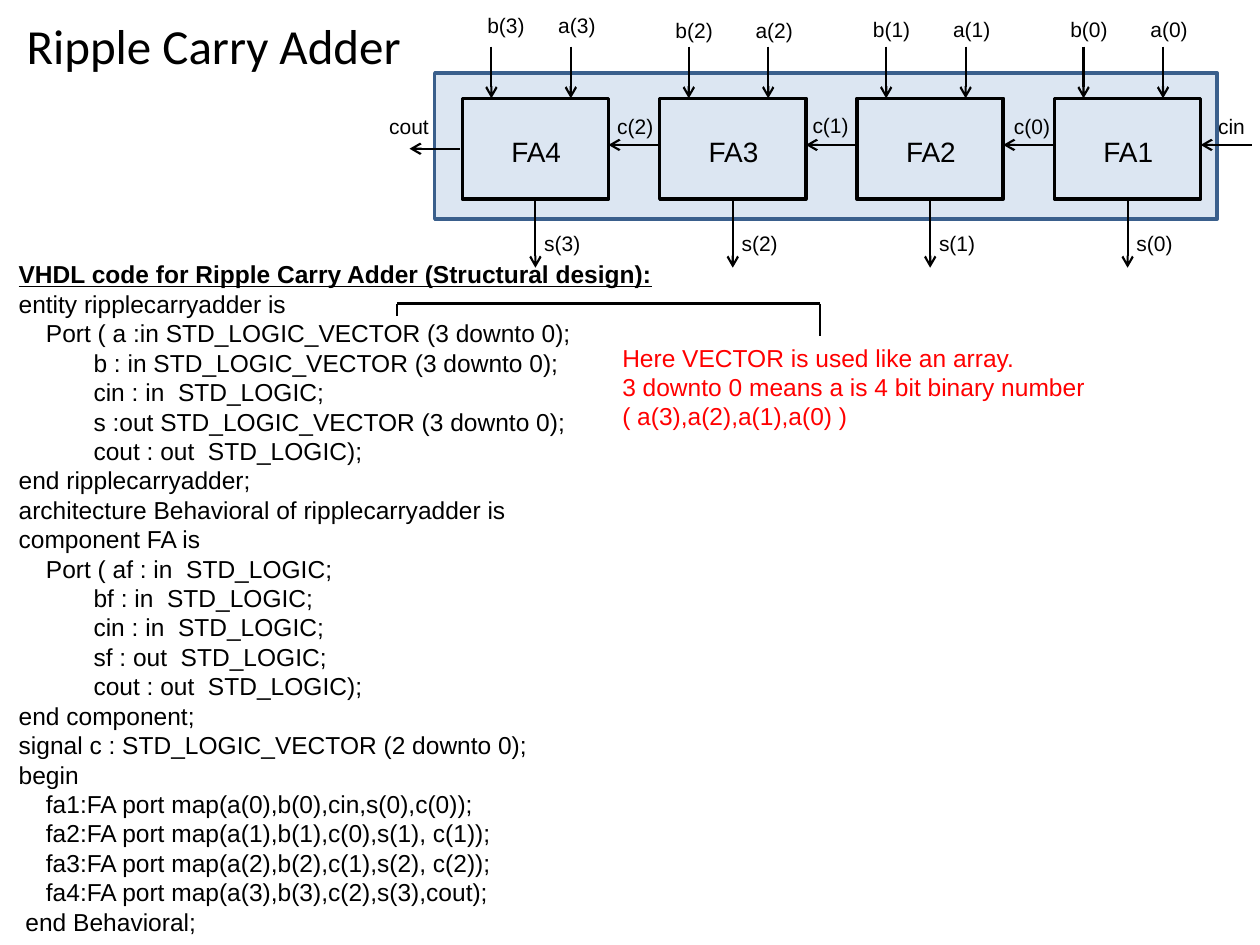
"""Build the ripple carry adder slide with its block diagram and VHDL code."""
from dataclasses import dataclass

from lxml import etree
from pptx import Presentation
from pptx.dml.color import RGBColor
from pptx.enum.shapes import MSO_CONNECTOR, MSO_SHAPE
from pptx.enum.text import MSO_ANCHOR, MSO_AUTO_SIZE, PP_ALIGN
from pptx.oxml.ns import qn
from pptx.util import Pt

RECT = MSO_SHAPE.RECTANGLE
LINE = MSO_CONNECTOR.STRAIGHT
MIDDLE = MSO_ANCHOR.MIDDLE
FIXED = MSO_AUTO_SIZE.NONE
LEFT, CENTER = PP_ALIGN.LEFT, PP_ALIGN.CENTER


@dataclass(frozen=True)
class Theme:
    ink: str = "000000"
    note: str = "FF0000"
    fill: str = "DCE6F2"
    edge: str = "3A5F8C"
    head: str = "Calibri"
    body: str = "Arial"
    title: int = 28
    cell: int = 16
    code: int = 14
    label: int = 12
    thick: float = 2
    thin: float = 1.25


THEME = Theme()
START, PITCH, WIDE = 264.2, 112.8, 83.5
TOP, HIGH = 56.2, 57.6
TAB, DEEP, SLIGHT = 15.6, 42.8, 3.9

CELLS = [
    ("FA4", 3, 3.6, 7.2, "c(2)", 81.4, 61.2),
    ("FA3", 2, 6.5, 1.9, "c(1)", 80.2, 60.5),
    ("FA2", 1, 5.8, 1.9, "c(0)", 82.5, 61.2),
    ("FA1", 0, 5.8, 1.9, "cin", 86.4, 61.2),
]

CODE = [
    (0, "VHDL code for Ripple Carry Adder (Structural design):"),
    (0, "entity ripplecarryadder is"),
    (TAB, "Port ( a :in STD_LOGIC_VECTOR (3 downto 0);"),
    (DEEP, "b : in STD_LOGIC_VECTOR (3 downto 0);"),
    (DEEP, "cin : in  STD_LOGIC;"),
    (DEEP, "s :out STD_LOGIC_VECTOR (3 downto 0);"),
    (DEEP, "cout : out  STD_LOGIC);"),
    (0, "end ripplecarryadder;"),
    (0, "architecture Behavioral of ripplecarryadder is"),
    (0, "component FA is"),
    (TAB, "Port ( af : in  STD_LOGIC;"),
    (DEEP, "bf : in  STD_LOGIC;"),
    (DEEP, "cin : in  STD_LOGIC;"),
    (DEEP, "sf : out  STD_LOGIC;"),
    (DEEP, "cout : out  STD_LOGIC);"),
    (0, "end component;"),
    (0, "signal c : STD_LOGIC_VECTOR (2 downto 0);"),
    (0, "begin"),
    (TAB, "fa1:FA port map(a(0),b(0),cin,s(0),c(0));"),
    (TAB, "fa2:FA port map(a(1),b(1),c(0),s(1), c(1));"),
    (TAB, "fa3:FA port map(a(2),b(2),c(1),s(2), c(2));"),
    (TAB, "fa4:FA port map(a(3),b(3),c(2),s(3),cout);"),
    (SLIGHT, "end Behavioral;"),
]

NOTE = [
    "Here VECTOR is used like an array.",
    "3 downto 0 means a is 4 bit binary number\v( a(3),a(2),a(1),a(0) )",
]


def paint(frame, size, color=THEME.ink, face=THEME.body, align=LEFT):
    for para in frame.paragraphs:
        para.alignment = align
        for run in para.runs:
            run.font.size = Pt(size)
            run.font.name = face
            run.font.color.rgb = RGBColor.from_string(color)


def add_text(slide, box, lines, size, color=THEME.ink, align=LEFT):
    frame = slide.shapes.add_textbox(*map(Pt, box)).text_frame
    frame.word_wrap = True
    frame.text = "\n".join(lines)
    paint(frame, size, color, align=align)
    return frame


def add_label(slide, x, y, text):
    add_text(slide, (x, y, 46, 21.8), [text], THEME.label)


def add_box(slide, box, edge, fill=None):
    shape = slide.shapes.add_shape(RECT, *map(Pt, box))
    shape.shadow.inherit = False
    if fill:
        shape.fill.solid()
        shape.fill.fore_color.rgb = RGBColor.from_string(fill)
    else:
        shape.fill.background()
    shape.line.color.rgb = RGBColor.from_string(edge)
    shape.line.width = Pt(THEME.thick)


def add_line(slide, ends, arrow=False):
    wire = slide.shapes.add_connector(LINE, *map(Pt, ends))
    wire.line.color.rgb = RGBColor.from_string(THEME.ink)
    wire.line.width = Pt(THEME.thin)
    props = wire.line._get_or_add_ln()
    if arrow:
        etree.SubElement(props, qn("a:tailEnd"), type="arrow")
    etree.SubElement(props.getparent(), qn("a:effectLst"))


def add_title(slide):
    title = slide.shapes.title
    title.left, title.top = Pt(3.6), Pt(3.6)
    title.width, title.height = Pt(236.9), Pt(44.6)
    frame = title.text_frame
    frame.text = "Ripple Carry Adder"
    frame.auto_size = FIXED
    frame.vertical_anchor = MIDDLE
    paint(frame, THEME.title, face=THEME.head, align=CENTER)


def add_cell(slide, x, cell):
    name, bit, top, shift, carry, gap, level = cell
    add_box(slide, (x, TOP, WIDE, HIGH), THEME.ink)
    add_text(slide, (x + 2.9, 73.4, 78.5, 26.6), [name], THEME.cell,
             align=CENTER)
    for port in (16.6, 62):
        add_line(slide, (x + port, 26.6, x + port, TOP), True)
    mid = x + WIDE / 2
    add_line(slide, (mid, TOP + HIGH, mid, 153), True)
    add_line(slide, (x + PITCH, 82.8, x + WIDE, 82.8), True)
    add_label(slide, x + shift, top, f"b({bit})")
    add_label(slide, x + 47.7, top, f"a({bit})")
    add_label(slide, x + 39.7, 128.2, f"s({bit})")
    add_label(slide, x + gap, level, carry)


def add_adder(slide):
    add_box(slide, (248.4, 41.8, 447.1, 83.5), THEME.edge, THEME.fill)
    for i, cell in enumerate(CELLS):
        add_cell(slide, START + i * PITCH, cell)
    add_line(slide, (262.8, 85, 234, 85), True)
    add_label(slide, 215.3, 61.2, "cout")


def add_code(slide):
    frame = add_text(slide, (3.6, 144.7, 376.6, 397.4),
                     [text for _, text in CODE], THEME.code)
    for para, (inset, _) in zip(frame.paragraphs, CODE):
        if inset:
            para._p.get_or_add_pPr().set("marL", str(int(Pt(inset))))
    font = frame.paragraphs[0].runs[0].font
    font.bold = font.underline = True


def add_note(slide):
    add_text(slide, (348.5, 192.2, 294.5, 58.3), NOTE, THEME.code, THEME.note)
    left, right, top = 226.8, 468.4, 173.5
    add_line(slide, (left, top, right, top))
    add_line(slide, (right, top, right, 192.2))
    add_line(slide, (left, top, left, 180.7))


def main():
    deck = Presentation()
    deck.slide_width, deck.slide_height = Pt(720), Pt(540)
    slide = deck.slides.add_slide(deck.slide_layouts[5])
    add_title(slide)
    add_code(slide)
    add_adder(slide)
    add_note(slide)
    deck.save("out.pptx")


if __name__ == "__main__":
    main()
